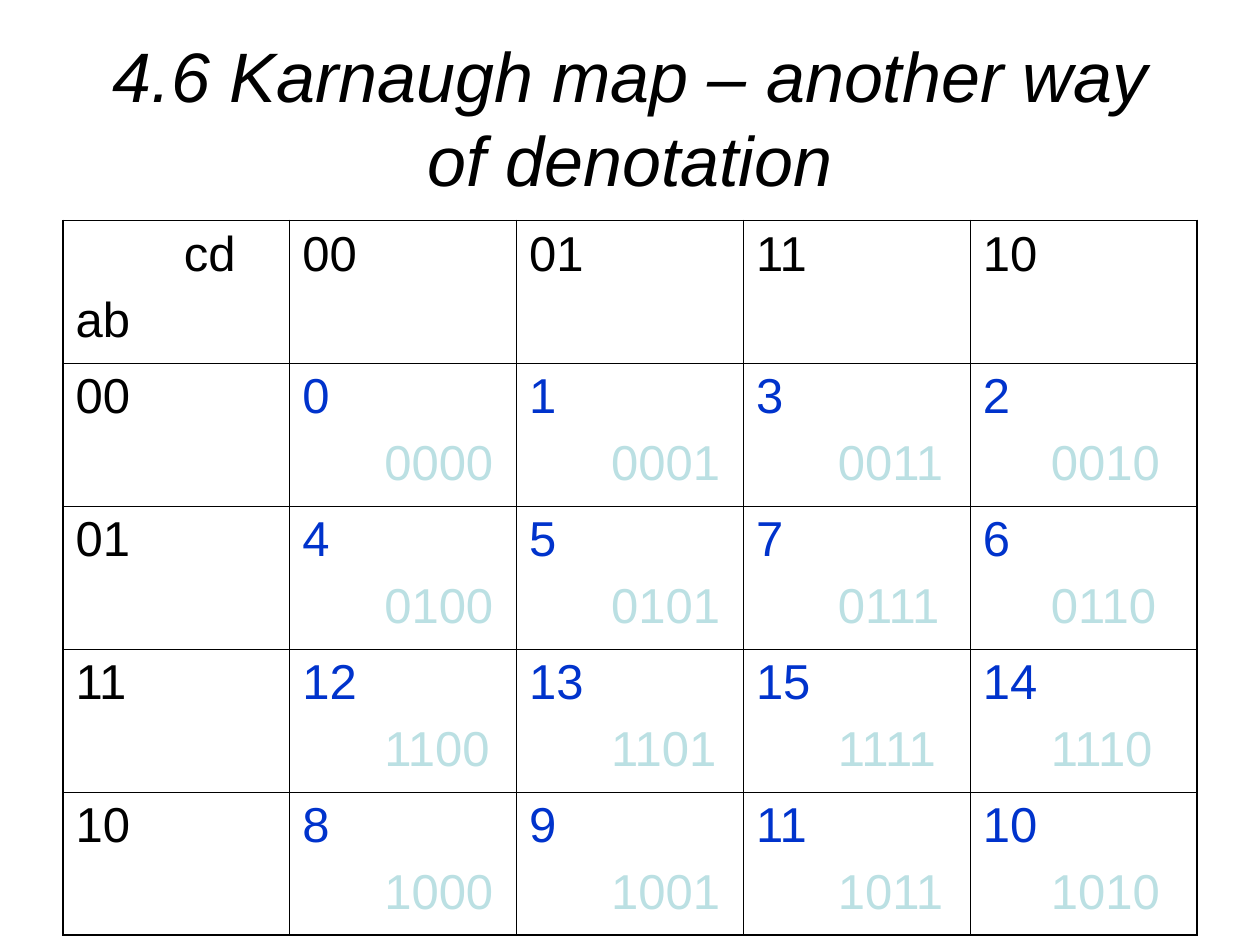
from dataclasses import dataclass

from lxml import etree
from pptx import Presentation
from pptx import util as u
from pptx.dml.color import RGBColor
from pptx.enum import text
from pptx.oxml import ns

FONT = "Arial"
BLACK, BLUE, PALE = "000000", "0033CC", "BBE0E3"
THIN, THICK = 0.45, 1.08
GRAY_CODE = ("00", "01", "11", "10")
SIZE = len(GRAY_CODE) + 1


@dataclass(frozen=True)
class Line:
    text: str
    color: str = BLACK
    indent: float = 0


def style_run(run, size: float, color: str, italic: bool = False) -> None:
    run.font.name = FONT
    run.font.size = u.Pt(size)
    run.font.italic = italic
    run.font.color.rgb = RGBColor.from_string(color)


def map_lines(row: int, column: int) -> list[Line]:
    """Return the lines of one cell: corner, code heading or numbered minterm."""
    if row == 0 and column == 0:
        return [Line("cd", indent=0.86), Line("ab")]
    if row == 0 or column == 0:
        return [Line(GRAY_CODE[max(row, column) - 1])]
    code = GRAY_CODE[row - 1] + GRAY_CODE[column - 1]
    indent = 0.54 if column == SIZE - 1 else 0.65
    return [Line(str(int(code, 2)), BLUE), Line(code, PALE, indent)]


def write_lines(cell, lines: list[Line]) -> None:
    cell.text_frame.text = "\n".join(line.text for line in lines)
    for para, line in zip(cell.text_frame.paragraphs, lines):
        para.space_before = u.Pt(7)
        if line.indent:
            para._p.get_or_add_pPr().set("marL", str(u.Inches(line.indent)))
        style_run(para.runs[0], 28, line.color)


def set_borders(cell, row: int, column: int) -> None:
    """Draw thin lines inside the map and thick ones around it."""
    last = SIZE - 1
    outer = {"L": column == 0, "R": column == last, "T": row == 0, "B": row == last}
    properties = cell._tc.get_or_add_tcPr()
    for side, is_outer in outer.items():
        width = u.Pt(THICK if is_outer else THIN)
        border = etree.SubElement(properties, ns.qn(f"a:ln{side}"), w=str(width))
        fill = etree.SubElement(border, ns.qn("a:solidFill"))
        etree.SubElement(fill, ns.qn("a:srgbClr"), val=BLACK)


def add_title(slide, wording: str) -> None:
    title = slide.shapes.title
    title.left, title.top = u.Inches(0.5), u.Inches(0.3)
    title.width, title.height = u.Inches(9), u.Inches(1.25)
    frame = title.text_frame
    frame.text = wording
    frame.auto_size = text.MSO_AUTO_SIZE.NONE
    frame.vertical_anchor = text.MSO_ANCHOR.MIDDLE
    para = frame.paragraphs[0]
    para.alignment = text.PP_ALIGN.CENTER
    style_run(para.runs[0], 40, BLACK, italic=True)


def add_karnaugh_map(slide) -> None:
    table = slide.shapes.add_table(
        SIZE, SIZE, u.Inches(0.5), u.Inches(1.75), u.Inches(9), u.Inches(5.67)
    ).table
    table.first_row = table.horz_banding = False
    for row in range(SIZE):
        for column in range(SIZE):
            cell = table.cell(row, column)
            write_lines(cell, map_lines(row, column))
            set_borders(cell, row, column)
            cell.fill.background()


def main() -> None:
    deck = Presentation()
    deck.slide_width, deck.slide_height = u.Inches(10), u.Inches(7.5)
    slide = deck.slides.add_slide(deck.slide_layouts.get_by_name("Title Only"))
    add_title(slide, "4.6 Karnaugh map – another way of denotation")
    add_karnaugh_map(slide)
    deck.save("out.pptx")


if __name__ == "__main__":
    main()
